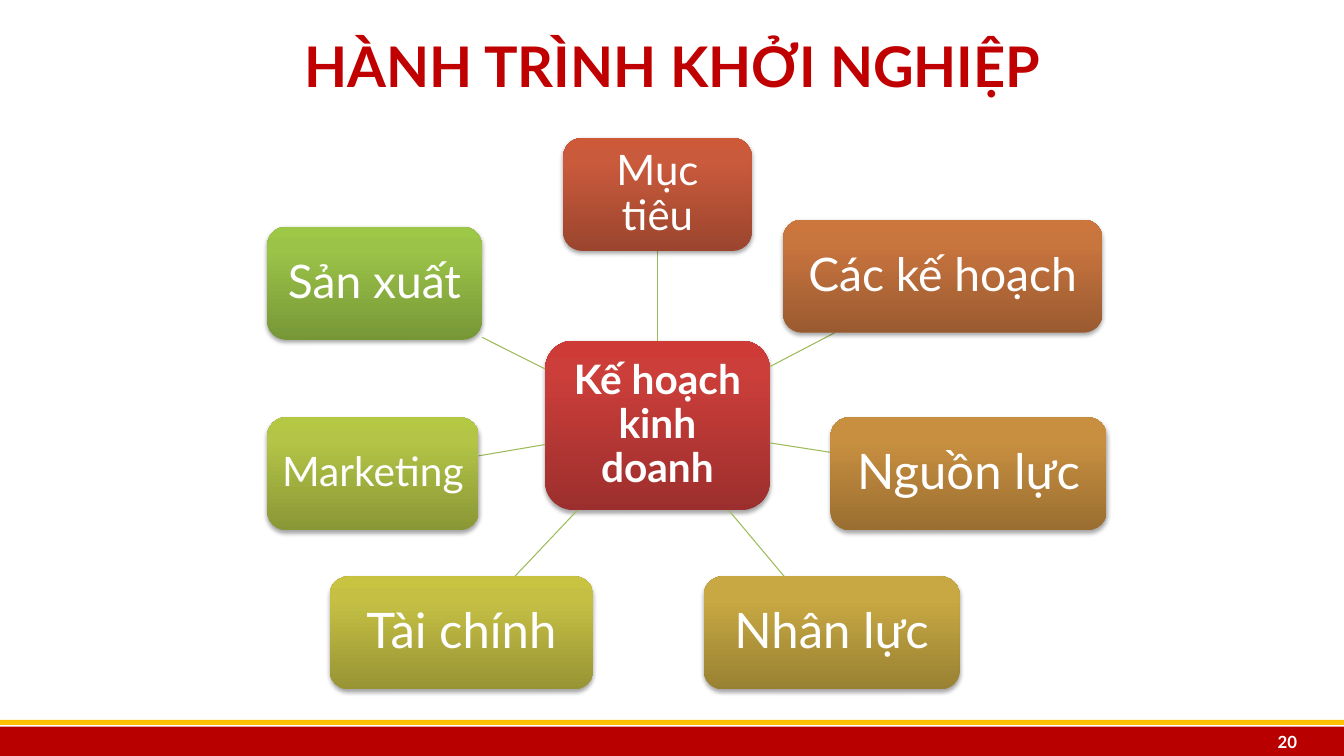
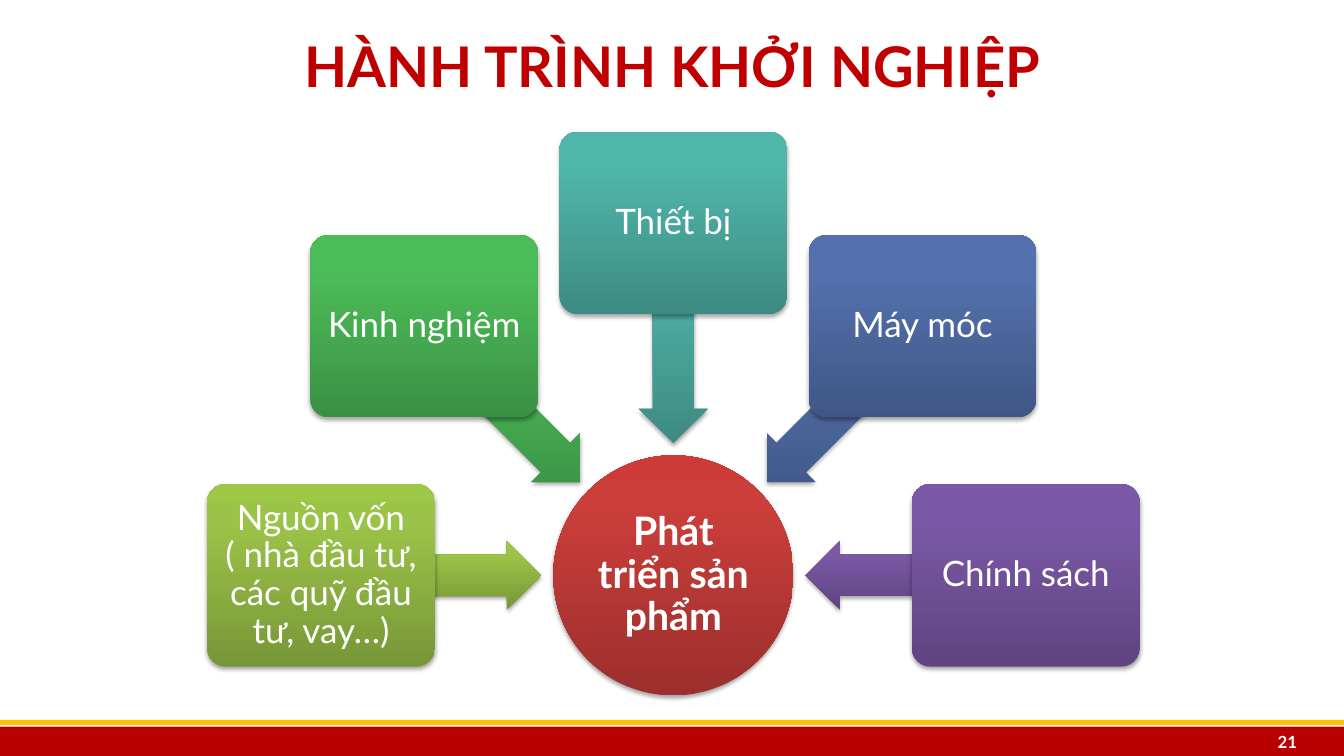
"""Build two startup-journey slides: a business-plan map and a product-development diagram."""
from dataclasses import dataclass
from math import cos, radians, sin

from lxml.etree import SubElement
from pptx import Presentation
from pptx.dml.color import RGBColor
from pptx.enum.shapes import MSO_CONNECTOR, MSO_SHAPE
from pptx.enum.text import MSO_ANCHOR, PP_ALIGN
from pptx.oxml import parse_xml
from pptx.oxml.ns import nsdecls, qn
from pptx.util import Cm, Pt


@dataclass(frozen=True)
class Theme:
    font: str = "Lato"
    title: str = "C00000"
    band: str = "B80000"
    stripe: str = "FFC000"
    light: str = "FFFFFF"
    spoke: str = "9BBB59"
    title_size: int = 40
    number_size: int = 12
    hub_size: int = 28
    source_size: int = 25


THEME = Theme()
WIDTH, HEIGHT = 33.87, 19.05
TITLE = "HÀNH TRÌNH KHỞI NGHIỆP"

RED = ("9C2F2D", "CB3E3A", "CE3B37")
LIME = ("779737", "9BC348", "9DC746")

PLAN_HUB = ("Kế hoạch kinh doanh", 29, (16.57, 10.72), (5.66, 4.27), RED)
PLAN_NODE_HEIGHT = 2.85
PLAN_NODES = [
    ("Mục tiêu", 30, (16.57, 4.9), 4.75, ("9B452E", "CA5A3C", "CD5939")),
    ("Các kế hoạch", 33, (23.76, 6.96), 8.05, ("9A5A30", "C9753E", "CC753C")),
    ("Nguồn lực", 35, (24.41, 11.94), 6.96, ("9A6E31", "C88F40", "CB903E")),
    ("Nhân lực", 35, (20.96, 15.95), 6.45, ("998133", "C7A842", "CAAA40")),
    ("Tài chính", 35, (11.63, 15.95), 6.65, ("989434", "C5C044", "C9C342")),
    ("Marketing", 29, (9.4, 11.94), 5.33, ("8A9736", "B3C446", "B5C844")),
    ("Sản xuất", 33, (9.44, 7.14), 5.41, LIME),
]

PRODUCT_HUB = ("Phát triển sản phẩm", (16.97, 14.5), (6.05, 6.05))
SOURCE_SIZE, SOURCE_RADIUS = (5.74, 4.6), 8.88
ARROW_SIZE, ARROW_RADIUS = (5.54, 1.73), 6.1
SOURCES = [
    ("Nguồn vốn ( nhà đầu tư, các quỹ đầu tư, vay…)", LIME),
    ("Kinh nghiệm", ("3A9144", "4CBC58", "4ABF57")),
    ("Thiết bị", ("3D8B83", "50B5AA", "4EB8AC")),
    ("Máy móc", ("405786", "5471AE", "5271B0")),
    ("Chính sách", ("5F4480", "7B58A6", "7C57A8")),
]


def apply(target, **values):
    for name, value in values.items():
        setattr(target, name, value)


def write(box, text, size, color=THEME.light, bold=False, align=PP_ALIGN.CENTER,
          inset=(0.25, 0.13), spacing=1.0):
    frame = box.text_frame
    across, down = Cm(inset[0]), Cm(inset[1])
    apply(frame, word_wrap=True, vertical_anchor=MSO_ANCHOR.MIDDLE,
          margin_left=across, margin_right=across, margin_top=down, margin_bottom=down)
    para = frame.paragraphs[0]
    apply(para, alignment=align, line_spacing=spacing)
    span = para.add_run()
    span.text = text
    apply(span.font, name=THEME.font, size=Pt(size), bold=bold)
    span.font.color.rgb = RGBColor.from_string(color)


def add_band(page, top, height, color):
    band = page.shapes.add_shape(MSO_SHAPE.RECTANGLE, 0, Cm(top), Cm(WIDTH), Cm(height))
    band.shadow.inherit = False
    band.fill.solid()
    band.fill.fore_color.rgb = RGBColor.from_string(color)
    band.line.fill.background()


def add_page(deck, number):
    page = deck.slides.add_slide(deck.slide_layouts[6])
    add_band(page, 18.31, HEIGHT - 18.31, THEME.band)
    add_band(page, 18.14, 0.13, THEME.stripe)
    title = page.shapes.add_textbox(Cm(0.94), Cm(0.13), Cm(32), Cm(3))
    write(title, TITLE, THEME.title_size, THEME.title, bold=True)
    label = page.shapes.add_textbox(Cm(30.73), Cm(18.31), Cm(2.21), Cm(0.79))
    write(label, str(number), THEME.number_size, bold=True, align=PP_ALIGN.RIGHT,
          inset=(0.25, 0))
    return page


def add_glossy(page, kind, center, size, colors, adjust=(), rotation=0):
    left, top = (middle - extent / 2 for middle, extent in zip(center, size))
    shape = page.shapes.add_shape(kind, Cm(left), Cm(top), Cm(size[0]), Cm(size[1]))
    shape.rotation = rotation
    for index, value in enumerate(adjust):
        shape.adjustments[index] = value
    shape.line.fill.background()
    shape.shadow.inherit = False
    properties = shape._element.spPr
    stops = "".join(f'<a:gs pos="{position}"><a:srgbClr val="{color}"/></a:gs>'
                    for position, color in zip((0, 80000, 100000), colors))
    properties.insert(2, parse_xml(
        f'<a:gradFill {nsdecls("a")} rotWithShape="0"><a:gsLst>{stops}</a:gsLst>'
        '<a:lin ang="16200000" scaled="0"/></a:gradFill>'))
    properties.find(qn("a:effectLst")).append(parse_xml(
        f'<a:outerShdw {nsdecls("a")} blurRad="40000" dist="23000" dir="5400000" '
        'rotWithShape="0"><a:srgbClr val="000000"><a:alpha val="35000"/></a:srgbClr>'
        '</a:outerShdw>'))
    return shape


def edge_point(center, size, toward):
    """Return where the line from center toward a point leaves the box."""
    deltas = [end - start for start, end in zip(center, toward)]
    scale = min(extent / 2 / abs(delta) for extent, delta in zip(size, deltas) if delta)
    return [Cm(start + delta * scale) for start, delta in zip(center, deltas)]


def add_spoke(page, start, end):
    spoke = page.shapes.add_connector(MSO_CONNECTOR.STRAIGHT, *start, *end)
    spoke.line.color.rgb = RGBColor.from_string(THEME.spoke)
    spoke.line.width = Pt(0.75)
    SubElement(spoke._element.spPr, qn("a:effectLst"))


def add_plan_box(page, text, size, center, extent, colors, bold=False):
    box = add_glossy(page, MSO_SHAPE.ROUNDED_RECTANGLE, center, extent, colors)
    inset = size * 0.007
    write(box, text, size, bold=bold, inset=(inset, inset), spacing=0.9)


def build_plan(page):
    hub_center, hub_extent = PLAN_HUB[2:4]
    add_plan_box(page, *PLAN_HUB, bold=True)
    for text, size, center, width, colors in PLAN_NODES:
        extent = (width, PLAN_NODE_HEIGHT)
        add_spoke(page, edge_point(hub_center, hub_extent, center),
                  edge_point(center, extent, hub_center))
        add_plan_box(page, text, size, center, extent, colors)


def build_product(page):
    text, center, extent = PRODUCT_HUB
    hub = add_glossy(page, MSO_SHAPE.OVAL, center, extent, RED)
    write(hub, text, THEME.hub_size, bold=True, inset=(0.05, 0.05), spacing=0.9)
    step = 180 / (len(SOURCES) - 1)
    for index, (text, colors) in enumerate(SOURCES):
        angle = index * step
        across, up = cos(radians(angle)), sin(radians(angle))
        arrow_center, box_center = (
            (center[0] - radius * across, center[1] - radius * up)
            for radius in (ARROW_RADIUS, SOURCE_RADIUS))
        add_glossy(page, MSO_SHAPE.LEFT_ARROW, arrow_center, ARROW_SIZE, colors,
                   (0.6, 0.5), (180 + angle) % 360)
        box = add_glossy(page, MSO_SHAPE.ROUNDED_RECTANGLE, box_center, SOURCE_SIZE,
                         colors, (0.1,))
        write(box, text, THEME.source_size, inset=(0.13, 0.13), spacing=0.9)


def main():
    deck = Presentation()
    apply(deck, slide_width=Cm(WIDTH), slide_height=Cm(HEIGHT))
    for number, build in enumerate((build_plan, build_product), start=20):
        build(add_page(deck, number))
    deck.save("out.pptx")


if __name__ == "__main__":
    main()
